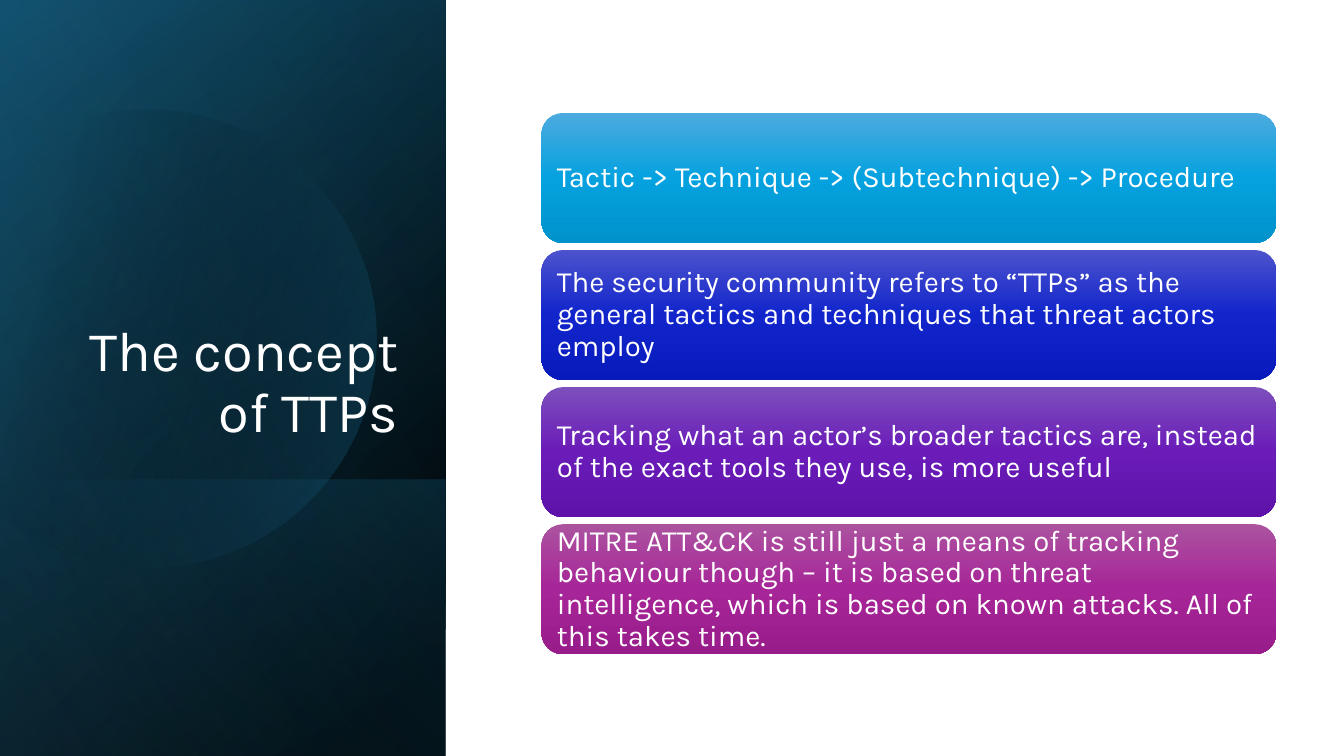
from lxml.etree import SubElement
from pptx import Presentation
from pptx.dml.color import RGBColor
from pptx.enum.shapes import MSO_SHAPE
from pptx.enum.text import MSO_ANCHOR, MSO_AUTO_SIZE, PP_ALIGN
from pptx.oxml.ns import qn
from pptx.util import Inches, Pt

FONT = "Karla"
WHITE = RGBColor(0xFF, 0xFF, 0xFF)
BLACK = RGBColor(0x00, 0x00, 0x00)
DEEP_TEAL = RGBColor(0x10, 0x48, 0x62)
TEAL = RGBColor(0x15, 0x60, 0x82)
SKY = RGBColor(0x46, 0xB1, 0xE1)

TITLE = "The concept of TTPs"
# Each statement with its top, middle and bottom colours
STATEMENTS = [
    ("Tactic -> Technique -> (Subtechnique) -> Procedure",
     (RGBColor(0x4C, 0xAA, 0xDF), RGBColor(0x05, 0xA2, 0xDF), RGBColor(0x00, 0x92, 0xCB))),
    ("The security community refers to “TTPs” as the general tactics and "
     "techniques that threat actors employ",
     (RGBColor(0x4D, 0x53, 0xCD), RGBColor(0x11, 0x25, 0xCB), RGBColor(0x07, 0x1B, 0xBC))),
    ("Tracking what an actor’s broader tactics are, instead of the exact "
     "tools they use, is more useful",
     (RGBColor(0x7C, 0x4F, 0xBC), RGBColor(0x6A, 0x1B, 0xB8), RGBColor(0x5E, 0x12, 0xAA))),
    ("MITRE ATT&CK is still just a means of tracking behaviour though – it is "
     "based on threat intelligence, which is based on known attacks. All of "
     "this takes time.",
     (RGBColor(0xAC, 0x53, 0xA0), RGBColor(0xA6, 0x25, 0x98), RGBColor(0x99, 0x1C, 0x8B))),
]

SLIDE_WIDTH, SLIDE_HEIGHT = 13.33, 7.5
PANEL_WIDTH = 4.42
LOWER_HEIGHT = 2.74
# Panel layers from back to front: height, flipped, angle, stops of (position, colour, opacity)
BASE = (SLIDE_HEIGHT, True, 50, [(8, BLACK, 100), (100, DEEP_TEAL, 100)])
TINT = (SLIDE_HEIGHT, True, 30, [(0, BLACK, 0), (99, TEAL, 46)])
LOWER = (LOWER_HEIGHT, False, 40, [(2, TEAL, 29), (100, BLACK, 30)])
GLOW = (SLIDE_HEIGHT, True, 120, [(0, BLACK, 0), (99, SKY, 11)])

DISC_X, DISC_Y, DISC_RADIUS = 1.46, 3.36, 2.27
DISC_CUT_ANGLE = 130
DISC_STOPS = [(29, BLACK, 0), (100, TEAL, 43)]

BOX_LEFT, BOX_TOP, BOX_WIDTH, BOX_HEIGHT = 5.37, 1.12, 7.29, 1.29
BOX_GAP = 0.07


def fill_gradient(shape, angle, stops):
    """Fill with (position, colour, opacity) stops; angle runs clockwise in degrees."""
    shape.shadow.inherit = False
    shape.line.fill.background()
    shape.fill.gradient()
    gradient = shape._element.spPr.find(qn("a:gradFill"))
    for child in list(gradient):
        gradient.remove(child)
    gradient.set("rotWithShape", "1")
    stop_list = SubElement(gradient, qn("a:gsLst"))
    for position, colour, opacity in stops:
        stop = SubElement(stop_list, qn("a:gs"), pos=str(position * 1000))
        tone = SubElement(stop, qn("a:srgbClr"), val=str(colour))
        if opacity < 100:
            SubElement(tone, qn("a:alpha"), val=str(opacity * 1000))
    SubElement(gradient, qn("a:lin"), ang=str(angle * 60000), scaled="0")


def add_panel_layer(slide, height, flipped, angle, stops):
    """Add a rectangle turned by 90 degrees that ends at the foot of the panel."""
    centre_x, centre_y = PANEL_WIDTH / 2, SLIDE_HEIGHT - height / 2
    layer = slide.shapes.add_shape(
        MSO_SHAPE.RECTANGLE,
        Inches(centre_x - height / 2), Inches(centre_y - PANEL_WIDTH / 2),
        Inches(height), Inches(PANEL_WIDTH))
    layer.rotation = 90
    if flipped:
        layer._element.spPr.xfrm.set("flipH", "1")
    fill_gradient(layer, angle, stops)


def add_disc(slide):
    """Add the disc, cut off at the left edge of the slide."""
    disc = slide.shapes.add_shape(
        MSO_SHAPE.CHORD,
        Inches(DISC_X - DISC_RADIUS), Inches(DISC_Y - DISC_RADIUS),
        Inches(2 * DISC_RADIUS), Inches(2 * DISC_RADIUS))
    # Adjustments count in 100000ths, angles in 60000ths of a degree
    disc.adjustments[0] = (360 - DISC_CUT_ANGLE) * 0.6
    disc.adjustments[1] = DISC_CUT_ANGLE * 0.6
    fill_gradient(disc, 14, DISC_STOPS)


def set_text(shape, text, size, alignment, anchor):
    frame = shape.text_frame
    frame.text = text
    frame.word_wrap = True
    frame.auto_size = MSO_AUTO_SIZE.NONE
    frame.vertical_anchor = anchor
    paragraph = frame.paragraphs[0]
    paragraph.alignment = alignment
    paragraph.line_spacing = 0.9
    font = paragraph.runs[0].font
    font.name = FONT
    font.size = Pt(size)
    font.color.rgb = WHITE


def add_title(slide):
    title = slide.shapes.title
    title.left, title.top = Inches(0.64), Inches(1.84)
    title.width, title.height = Inches(3.41), Inches(2.62)
    set_text(title, TITLE, 40, PP_ALIGN.RIGHT, MSO_ANCHOR.BOTTOM)
    slide.shapes._spTree.append(title._element)  # in front of the panel


def add_statement(slide, index, text, colours):
    box = slide.shapes.add_shape(
        MSO_SHAPE.ROUNDED_RECTANGLE,
        Inches(BOX_LEFT), Inches(BOX_TOP + index * (BOX_HEIGHT + BOX_GAP)),
        Inches(BOX_WIDTH), Inches(BOX_HEIGHT))
    fill_gradient(box, 90, [(position, colour, 100)
                            for position, colour in zip((0, 50, 100), colours)])
    frame = box.text_frame
    frame.margin_left = frame.margin_right = Inches(0.09)
    frame.margin_top = frame.margin_bottom = Inches(0)
    set_text(box, text, 21, PP_ALIGN.LEFT, MSO_ANCHOR.MIDDLE)


def main():
    presentation = Presentation()
    presentation.slide_width = Inches(SLIDE_WIDTH)
    presentation.slide_height = Inches(SLIDE_HEIGHT)
    slide = presentation.slides.add_slide(presentation.slide_layouts[5])
    for layer in (BASE, TINT, LOWER):
        add_panel_layer(slide, *layer)
    add_disc(slide)
    add_panel_layer(slide, *GLOW)
    add_title(slide)
    for index, (text, colours) in enumerate(STATEMENTS):
        add_statement(slide, index, text, colours)
    presentation.save("out.pptx")


if __name__ == "__main__":
    main()
